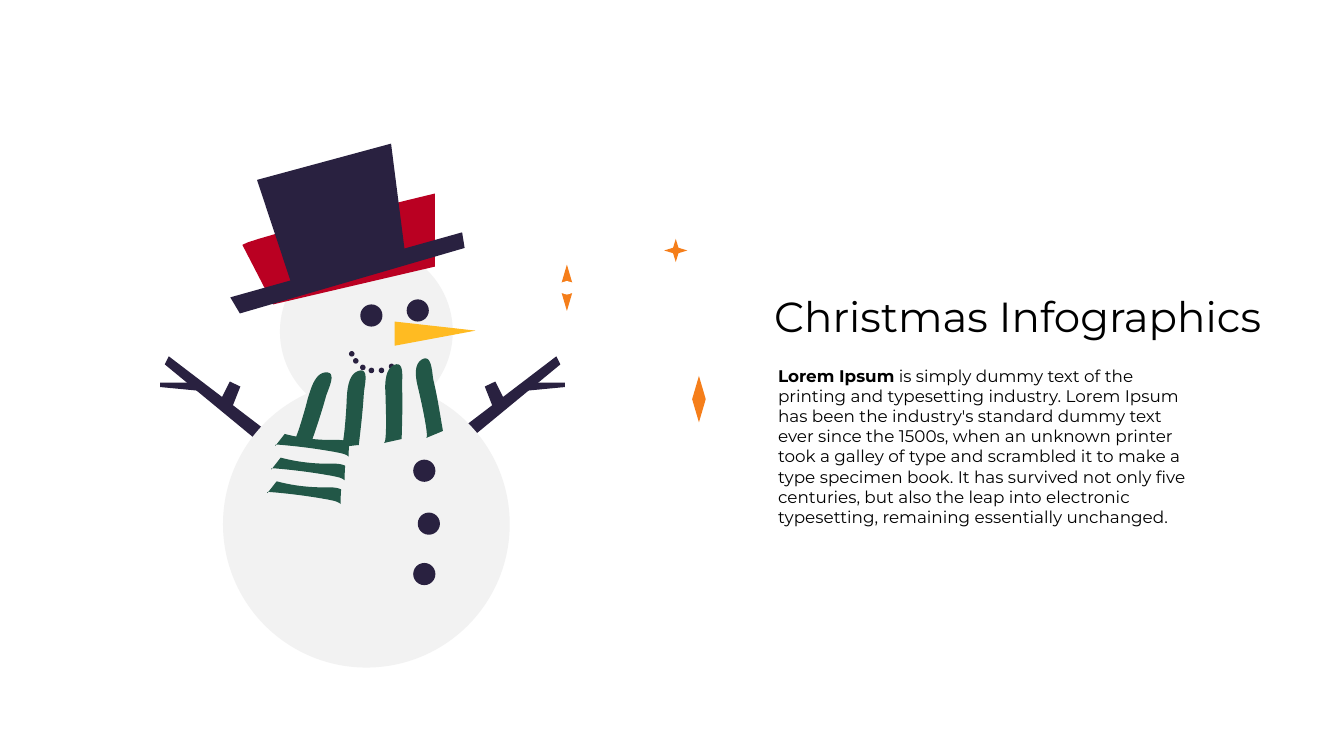
"""Build a slide with a snowman illustration beside a title and a paragraph."""
import pptx
import pptx.dml.color
import pptx.enum.shapes
import pptx.enum.text
import pptx.util

SLIDE_SIZE = (26.67, 15)
FONT = "Montserrat"
COLORS = {"navy": "292140", "snow": "F2F2F2", "red": "BA0022", "green": "225747",
          "orange": "F57E1A", "carrot": "FFBB22", "white": "FFFFFF", "text": "000000"}

TITLE = ((15.26, 5.71, 10.28, 1.11), 60, [("Christmas Infographics", False)])
BODY = ((15.34, 7.2, 8.39, 3.33), 24, [
    ("Lorem Ipsum", True),
    (" is simply dummy text of the printing and typesetting industry. Lorem Ipsum has been "
     "the industry's standard dummy text ever since the 1500s, when an unknown printer took "
     "a galley of type and scrambled it to make a type specimen book. It has survived not "
     "only five centuries, but also the leap into electronic typesetting, remaining "
     "essentially unchanged.", False)])

SPARKLES = [(13.41, 4.97, 0.14, 0.46, "orange"), (13.41, 4.97, 0.46, 0.14, "orange"),
            (11.25, 5.71, 0.27, 0.92, "orange"), (11.25, 5.71, 0.92, 0.27, "white"),
            (13.87, 7.92, 0.27, 0.92, "orange")]

MIRROR_SUM = 14.39
RIGHT_ARM = [[(8.85, 8.74), (11.04, 7.07), (11.12, 7.23), (9.02, 8.96)],
             [(10.61, 7.59), (11.21, 7.59), (11.21, 7.68), (10.37, 7.76)],
             [(9.83, 8.2), (9.62, 7.67), (9.83, 7.57), (9.99, 7.89)]]

SNOWBALLS = [(7.27, 10.4, 5.69), (7.27, 6.58, 3.43)]
COAL_SIZE, MOUTH_SIZE = 0.44, 0.11
COALS = [(7.37, 6.26), (8.29, 6.16), (8.42, 9.34), (8.51, 10.39), (8.42, 11.39)]
MOUTH = [(6.98, 7.02), (7.06, 7.16), (7.2, 7.29), (7.37, 7.35), (7.57, 7.35), (7.77, 7.27)]

HAT_AND_NOSE = [
    ("red", [(4.81, 4.86), (4.89, 4.74, 8.63, 3.84, 8.63, 3.84), (8.63, 5.29), (5.42, 6.04)]),
    ("navy", [(5.8, 5.68), (5.1, 3.57), (7.76, 2.85), (8.05, 5.12)]),
    ("navy", [(4.76, 6.22), (9.22, 4.92), (9.17, 4.61), (4.57, 5.9)]),
    ("carrot", [(7.83, 6.86), (9.44, 6.56), (7.83, 6.38)])]

SCARF_BANDS, BAND_STEP = 3, (-0.08, 0.47)
SCARF_BAND = [(5.65, 8.61), (5.95, 8.69, 6.26, 8.73, 6.57, 8.73),
              (6.69, 8.73, 6.82, 8.72, 6.93, 8.77), (6.92, 8.87, 6.92, 8.96, 6.92, 9.06),
              (6.85, 9, 6.75, 8.99, 6.66, 8.97), (6.27, 8.9, 5.88, 8.85, 5.49, 8.82),
              (5.45, 8.82, 5.46, 8.85, 5.47, 8.84)]
SCARF_STRIPES = [
    [(5.8, 8.8), (5.92, 8.81, 6.04, 8.82, 6.16, 8.83), (6.27, 8.51, 6.38, 8.19, 6.47, 7.86),
     (6.52, 7.7, 6.7, 7.36, 6.45, 7.39), (6.24, 7.41, 6.16, 7.75, 6.11, 7.9),
     (6.09, 7.99, 5.87, 8.8, 5.8, 8.8)],
    [(6.77, 8.87), (6.88, 8.86, 7, 8.84, 7.12, 8.83), (7.16, 8.49, 7.2, 8.15, 7.22, 7.81),
     (7.23, 7.65, 7.34, 7.28, 7.11, 7.36), (6.9, 7.43, 6.89, 7.77, 6.88, 7.93),
     (6.88, 8.02, 6.83, 8.86, 6.77, 8.87)],
    [(7.62, 8.79), (7.74, 8.76, 7.85, 8.74, 7.97, 8.71), (7.98, 8.37, 7.99, 8.03, 7.98, 7.69),
     (7.97, 7.52, 8.04, 7.15, 7.82, 7.24), (7.62, 7.33, 7.64, 7.68, 7.65, 7.84),
     (7.65, 7.93, 7.69, 8.77, 7.62, 8.79)],
    [(8.46, 8.69), (8.57, 8.64, 8.68, 8.6, 8.79, 8.55), (8.73, 8.21, 8.68, 7.87, 8.6, 7.54),
     (8.57, 7.38, 8.57, 7, 8.36, 7.14), (8.18, 7.26, 8.27, 7.59, 8.31, 7.75),
     (8.33, 7.84, 8.52, 8.66, 8.46, 8.69)]]
CURVE_STEPS = 12


def rgb(color):
    return pptx.dml.color.RGBColor.from_string(COLORS[color])


def paint(shape, color):
    shape.shadow.inherit = False
    shape.fill.solid()
    shape.fill.fore_color.rgb = rgb(color)
    shape.line.fill.background()


def add_centered(shapes, kind, x, y, width, height, color):
    box = [pptx.util.Inches(v) for v in (x - width / 2, y - height / 2, width, height)]
    paint(shapes.add_shape(kind, *box), color)


def flatten(outline):
    points = [outline[0]]
    for segment in outline[1:]:
        if len(segment) == 2:
            points.append(segment)
            continue
        controls = [points[-1], segment[:2], segment[2:4], segment[4:]]
        for step in range(1, CURVE_STEPS + 1):
            t = step / CURVE_STEPS
            weights = ((1 - t) ** 3, 3 * t * (1 - t) ** 2, 3 * t * t * (1 - t), t ** 3)
            points.append(tuple(sum(w * c[axis] for w, c in zip(weights, controls))
                                for axis in (0, 1)))
    return points


def add_outline(shapes, outline, color, shift=(0, 0)):
    points = [(pptx.util.Inches(x + shift[0]), pptx.util.Inches(y + shift[1]))
              for x, y in flatten(outline)]
    builder = shapes.build_freeform(*points[0], scale=1.0)
    builder.add_line_segments(points[1:], close=True)
    paint(builder.convert_to_shape(), color)


def add_snowman(shapes):
    oval = pptx.enum.shapes.MSO_SHAPE.OVAL
    for sparkle in SPARKLES:
        add_centered(shapes, pptx.enum.shapes.MSO_SHAPE.DIAMOND, *sparkle)
    left_arm = [[(MIRROR_SUM - x, y) for x, y in twig] for twig in RIGHT_ARM]
    for twig in RIGHT_ARM + left_arm:
        add_outline(shapes, twig, "navy")
    for x, y, size in SNOWBALLS:
        add_centered(shapes, oval, x, y, size, size, "snow")
    for color, outline in HAT_AND_NOSE:
        add_outline(shapes, outline, color)
    for centers, size in ((COALS, COAL_SIZE), (MOUTH, MOUTH_SIZE)):
        for x, y in centers:
            add_centered(shapes, oval, x, y, size, size, "navy")
    for band in range(SCARF_BANDS):
        add_outline(shapes, SCARF_BAND, "green", [band * step for step in BAND_STEP])
    for stripe in SCARF_STRIPES:
        add_outline(shapes, stripe, "green")


def fill_placeholder(shape, box, size, runs):
    shape.left, shape.top, shape.width, shape.height = map(pptx.util.Inches, box)
    frame = shape.text_frame
    frame.word_wrap = True
    frame.auto_size = pptx.enum.text.MSO_AUTO_SIZE.NONE
    frame.vertical_anchor = pptx.enum.text.MSO_ANCHOR.TOP
    paragraph = frame.paragraphs[0]
    properties = paragraph._p.get_or_add_pPr()
    properties.set("marL", "0")
    properties.set("indent", "0")
    properties.append(pptx.oxml.parse_xml(
        '<a:buNone xmlns:a="http://schemas.openxmlformats.org/drawingml/2006/main"/>'))
    paragraph.alignment = pptx.enum.text.PP_ALIGN.LEFT
    paragraph.space_before = pptx.util.Pt(0)
    for text, bold in runs:
        run = paragraph.add_run()
        run.text = text
        run.font.name = FONT
        run.font.size = pptx.util.Pt(size)
        run.font.bold = bold
        run.font.color.rgb = rgb("text")


def main():
    presentation = pptx.Presentation()
    presentation.slide_width, presentation.slide_height = map(pptx.util.Inches, SLIDE_SIZE)
    slide = presentation.slides.add_slide(presentation.slide_layouts[1])
    add_snowman(slide.shapes.add_group_shape().shapes)
    fill_placeholder(slide.shapes.title, *TITLE)
    fill_placeholder(slide.placeholders[1], *BODY)
    presentation.save("out.pptx")


if __name__ == "__main__":
    main()
